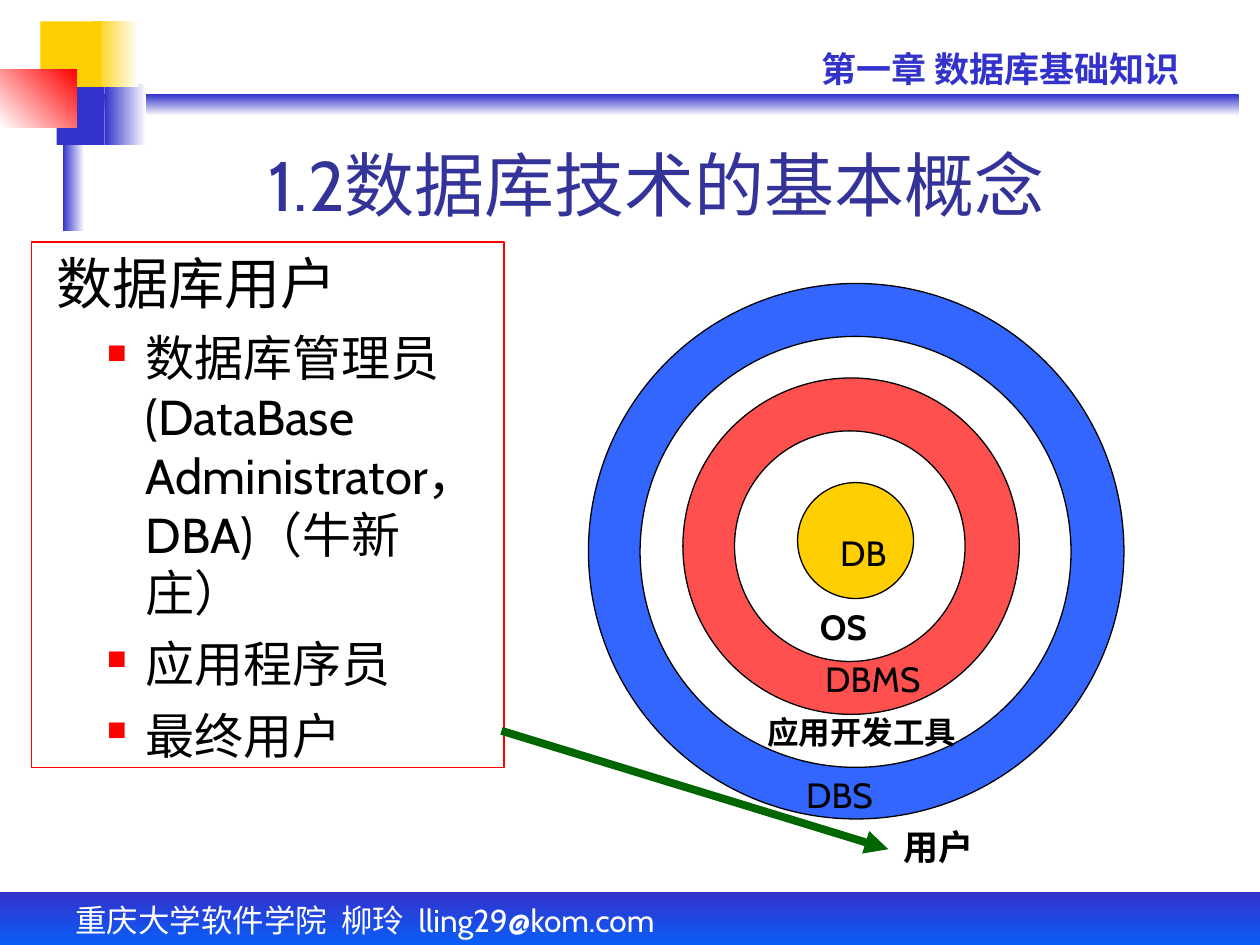
from lxml import etree
from pptx import Presentation
from pptx.dml.color import RGBColor
from pptx.enum.shapes import MSO_CONNECTOR, MSO_SHAPE
from pptx.enum.text import MSO_ANCHOR, MSO_AUTO_SIZE, PP_ALIGN
from pptx.oxml.ns import qn
from pptx.util import Inches, Pt

RECT, OVAL = MSO_SHAPE.RECTANGLE, MSO_SHAPE.OVAL
STRAIGHT = MSO_CONNECTOR.STRAIGHT
LEFT, CENTER = PP_ALIGN.LEFT, PP_ALIGN.CENTER
TOP, BOTTOM = MSO_ANCHOR.TOP, MSO_ANCHOR.BOTTOM
FIXED, GROW = MSO_AUTO_SIZE.NONE, MSO_AUTO_SIZE.SHAPE_TO_FIT_TEXT

THEME = {
    "font": "Cabin",
    "indigo": "3333CC", "title": "333399", "azure": "0066FF", "blue": "3366FF",
    "yellow": "FFCF01", "red": "FF0000", "coral": "FF5050", "green": "006600",
    "white": "FFFFFF", "black": "000000",
    "title_size": 40, "heading_size": 32, "item_size": 28,
    "label_size": 20, "small_size": 18,
}

# Box (left, top, width, height), colours, clockwise gradient angle
DECORATIONS = [
    ((0.58, 0.75, 9.25, 0.17), ("indigo", "white"), 90),
    ((0.83, 0.67, 0.33, 0.48), ("white", "indigo"), 180),
    ((0, 7.08, 10, 0.5), ("indigo", "azure"), 90),
    ((0.5, 0.58, 0.17, 1.25), ("white", "indigo"), 180),
    ((0.45, 0.67, 0.38, 0.48), ("indigo",), 0),
    ((0.74, 0.17, 0.36, 0.52), ("white", "yellow"), 180),
    ((0.32, 0.17, 0.48, 0.52), ("yellow",), 0),
    ((0, 0.55, 0.61, 0.46), ("red", "white"), 135),
]
FOOTER = "重庆大学软件学院  柳玲  lling29@kom.com"
CHAPTER = "第一章 数据库基础知识"
TITLE = "1.2数据库技术的基本概念"
USERS_HEADING = " 数据库用户"
USERS = ["数据库管理员(DataBase Administrator， DBA)（牛新庄）", "应用程序员", "最终用户"]
USERS_BOX = (0.25, 1.92, 3.75, 4.17)

# Left, top, diameter, colour, from the outside in
RINGS = [
    (4.67, 2.25, 4.25, "blue"),
    (5.08, 2.67, 3.42, "white"),
    (5.42, 3, 2.67, "coral"),
    (5.83, 3.42, 1.83, "white"),
    (6.33, 3.83, 0.92, "yellow"),
]
# Text, box, size, bold
RING_LABELS = [
    ("DB", (6.57, 4.17, 0.58, 0.44), "label_size", False),
    ("OS", (6.41, 4.76, 0.57, 0.44), "label_size", True),
    ("DBMS", (6.45, 5.17, 0.99, 0.44), "label_size", False),
    ("应用开发工具", (5.99, 5.61, 1.7, 0.4), "small_size", True),
    ("DBS", (6.3, 6.09, 0.73, 0.44), "label_size", False),
    ("用户", (7.07, 6.5, 0.78, 0.44), "label_size", True),
]
USER_ARROW = (3.98, 5.8, 7.05, 6.74)


def color(name):
    return RGBColor.from_string(THEME[name])


def inches(values):
    return [Inches(value) for value in values]


def add_figure(slide, kind, box, colors=(), angle=0, outline=None):
    """Draw a shape with no fill, one colour or a two-colour gradient."""
    figure = slide.shapes.add_shape(kind, *inches(box))
    figure.shadow.inherit = False
    if len(colors) == 2:
        figure.fill.gradient()
        figure.fill.gradient_angle = (360 - angle) % 360
        for stop, name in zip(figure.fill.gradient_stops, colors):
            stop.color.rgb = color(name)
    elif colors:
        figure.fill.solid()
        figure.fill.fore_color.rgb = color(colors[0])
    else:
        figure.fill.background()
    if outline:
        figure.line.color.rgb = color(outline)
        figure.line.width = Pt(0.75)
    else:
        figure.line.fill.background()
    return figure


def write(paragraph, text, size, ink="black", bold=False, align=LEFT, before=0):
    paragraph.alignment = align
    paragraph.space_before = Pt(before)
    run = paragraph.add_run()
    run.text = text
    run.font.name = THEME["font"]
    run.font.size = Pt(THEME[size])
    run.font.bold = bold
    run.font.color.rgb = color(ink)


def add_text(slide, box, text, size, wrap=True, anchor=TOP, **text_format):
    frame = slide.shapes.add_textbox(*inches(box)).text_frame
    frame.auto_size = FIXED if wrap else GROW
    frame.word_wrap = wrap
    frame.vertical_anchor = anchor
    write(frame.paragraphs[0], text, size, **text_format)


def add_bullet(paragraph):
    properties = paragraph._p.get_or_add_pPr()
    properties.set("marL", str(Inches(0.81)))
    properties.set("indent", str(Inches(-0.31)))
    bullet_color = etree.SubElement(properties, qn("a:buClr"))
    etree.SubElement(bullet_color, qn("a:srgbClr"), val=THEME["red"])
    etree.SubElement(properties, qn("a:buSzPct"), val="55000")
    etree.SubElement(properties, qn("a:buChar"), char="■")


def add_users(slide):
    frame = add_figure(slide, RECT, USERS_BOX, outline="red").text_frame
    frame.word_wrap = True
    frame.vertical_anchor = TOP
    write(frame.paragraphs[0], USERS_HEADING, "heading_size", before=8)
    for user in USERS:
        paragraph = frame.add_paragraph()
        write(paragraph, user, "item_size", before=7)
        add_bullet(paragraph)


def add_arrow(slide, ends):
    arrow = slide.shapes.add_connector(STRAIGHT, *inches(ends))
    arrow.line.color.rgb = color("green")
    arrow.line.width = Pt(4.5)
    etree.SubElement(arrow.line._get_or_add_ln(), qn("a:tailEnd"), type="triangle")
    etree.SubElement(arrow._element.spPr, qn("a:effectLst"))


def main():
    deck = Presentation()
    deck.slide_width, deck.slide_height = Inches(10), Inches(7.5)
    slide = deck.slides.add_slide(deck.slide_layouts[6])

    for box, colors, angle in DECORATIONS:
        add_figure(slide, RECT, box, colors, angle)
    add_text(slide, (0.5, 7.1, 7.33, 0.46), FOOTER, "small_size", ink="white", before=11.2)
    add_text(slide, (6.42, 0.33, 3.42, 0.44), CHAPTER, "label_size",
             ink="indigo", bold=True, before=12.5)
    add_text(slide, (1.25, 1.17, 7.92, 0.67), TITLE, "title_size",
             anchor=BOTTOM, ink="title", align=CENTER)
    add_users(slide)
    for left, top, diameter, fill in RINGS:
        add_figure(slide, OVAL, (left, top, diameter, diameter), (fill,), outline="black")
    for text, box, size, bold in RING_LABELS:
        add_text(slide, box, text, size, wrap=False, bold=bold)
    add_arrow(slide, USER_ARROW)
    deck.save("out.pptx")


if __name__ == "__main__":
    main()
